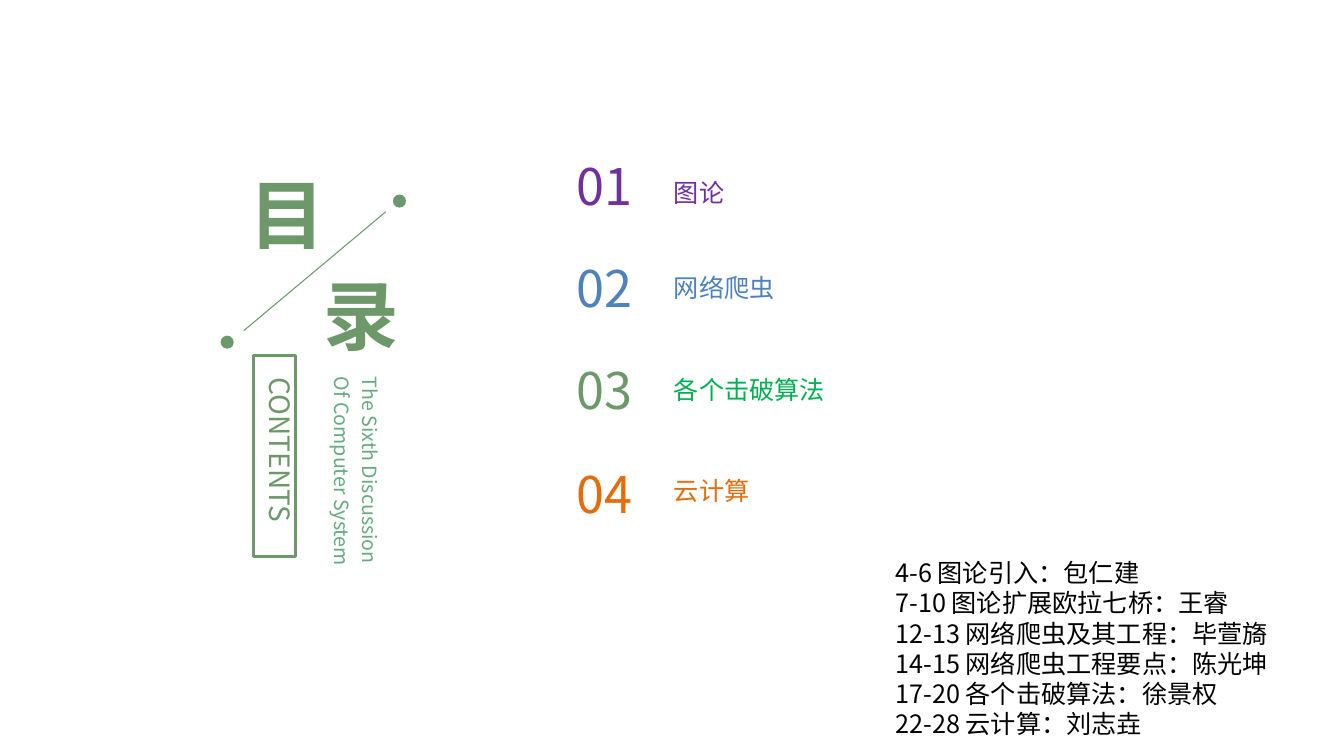
from dataclasses import dataclass

from lxml.etree import SubElement as Sub
from pptx import Presentation
from pptx.dml.color import RGBColor as Color
from pptx.enum.shapes import MSO_CONNECTOR as Link, MSO_SHAPE as Form
from pptx.enum.text import MSO_ANCHOR as Anchor, MSO_AUTO_SIZE as Auto, PP_ALIGN as Align
from pptx.oxml.ns import qn
from pptx.util import Inches, Pt

FONT = "Noto Sans CJK SC"
GREEN = RGB_GREEN = Color(0x6D, 0x98, 0x6A)
MINT = Color(0x65, 0xAA, 0x81)
PURPLE = Color(0x70, 0x30, 0xA0)
BLUE = Color(0x4F, 0x81, 0xBD)
LIME = Color(0x00, 0xB0, 0x50)
ORANGE = Color(0xE4, 0x6C, 0x0A)
BLACK = Color(0, 0, 0)


@dataclass
class Box:
    left: float
    top: float
    width: float
    height: float

    def place(self) -> tuple:
        return tuple(map(Inches, (self.left, self.top, self.width, self.height)))


@dataclass
class Topic:
    name: str
    top: float
    label: Box
    tint: Color
    hue: Color


TOPICS = [
    Topic("图论", 1.49, Box(6.59, 1.56, 4.73, 0.86), PURPLE, PURPLE),
    Topic("网络爬虫", 2.5, Box(6.59, 2.5, 4.73, 0.55), BLUE, BLUE),
    Topic("各个击破算法", 3.51, Box(6.59, 3.51, 4.73, 0.55), GREEN, LIME),
    Topic("云计算", 4.54, Box(6.59, 4.52, 4.73, 0.55), ORANGE, ORANGE),
]
DOTS = [Box(3.9, 1.93, 0.13, 0.13), Box(2.19, 3.33, 0.13, 0.13)]
PARTS = [
    "4-6 图论引入：包仁建",
    "7-10 图论扩展欧拉七桥：王睿",
    "12-13 网络爬虫及其工程：毕萱旖",
    "14-15 网络爬虫工程要点：陈光坤",
    "17-20 各个击破算法：徐景权",
    "22-28 云计算：刘志垚",
]


def write(slide, box: Box, *lines: str, size: float, color: Color, bold: bool = False,
          aligns: tuple = (Align.LEFT,), space: float = 1.0, turn: bool = False,
          wrap: bool = True, shape=None):
    """Put lines into a new text box, or into the given shape."""
    shape = shape or slide.shapes.add_textbox(*box.place())
    shape.left, shape.top, shape.width, shape.height = box.place()
    frame = shape.text_frame
    frame.word_wrap = wrap
    frame.auto_size = Auto.SHAPE_TO_FIT_TEXT
    frame.vertical_anchor = Anchor.TOP
    if turn:
        frame._txBody.bodyPr.set("vert", "eaVert")
    for i, line in enumerate(lines):
        para = frame.add_paragraph() if i else frame.paragraphs[0]
        para.alignment = aligns[i % len(aligns)]
        para.line_spacing = space
        run = para.add_run()
        run.text = line
        font = run.font
        font.name, font.size, font.bold = FONT, Pt(size), bold
        font.color.rgb = color
        Sub(font._element, qn("a:ea")).set("typeface", FONT)


def draw(slide, form: Form, box: Box, fill: bool) -> None:
    """Draw a green shape, either filled or outlined."""
    shape = slide.shapes.add_shape(form, *box.place())
    shape.shadow.inherit = False
    if fill:
        shape.fill.solid()
        shape.fill.fore_color.rgb = GREEN
        shape.line.fill.background()
    else:
        shape.fill.background()
        shape.line.color.rgb = GREEN
        shape.line.width = Pt(2)


def main() -> None:
    deck = Presentation()
    deck.slide_width, deck.slide_height = Inches(13.34), Inches(7.5)
    slide = deck.slides.add_slide(deck.slide_layouts[5])

    # Heading, one character on each side of the slanted line
    head = dict(size=54, color=GREEN, bold=True, aligns=(Align.CENTER,))
    write(slide, Box(2.32, 1.62, 1.06, 1.01), "目", shape=slide.shapes.title, **head)
    write(slide, Box(3.06, 2.62, 1.06, 1.01), "录", **head)
    slant = slide.shapes.add_connector(
        Link.STRAIGHT, Inches(3.83), Inches(2.1), Inches(2.42), Inches(3.28))
    slant.line.color.rgb = GREEN
    slant.line.width = Pt(0.75)
    Sub(slant._element.spPr, qn("a:effectLst"))
    for dot in DOTS:
        draw(slide, Form.OVAL, dot, fill=True)

    # Vertical captions
    draw(slide, Form.RECTANGLE, Box(2.52, 3.53, 0.41, 1.99), fill=False)
    write(slide, Box(2.46, 3.65, 0.54, 1.74), "CONTENTS", size=20, color=GREEN,
          aligns=(Align.CENTER,), turn=True)
    write(slide, Box(3.13, 3.64, 0.76, 2.52), "The Sixth Discussion",
          "Of Computer System", size=14, color=MINT, space=1.2, turn=True,
          aligns=(Align.LEFT, Align.RIGHT), wrap=False)

    # Numbered topics
    for i, topic in enumerate(TOPICS, 1):
        write(slide, Box(5.45, topic.top, 0.93, 0.71), f"{i:02}", size=36,
              color=topic.tint, aligns=(Align.RIGHT,))
        write(slide, topic.label, topic.name, size=18, color=topic.hue, space=1.5)

    # Page ranges and speakers
    write(slide, Box(8.79, 5.48, 5.3, 1.92), *PARTS, size=18, color=BLACK)

    deck.save("out.pptx")


if __name__ == "__main__":
    main()
